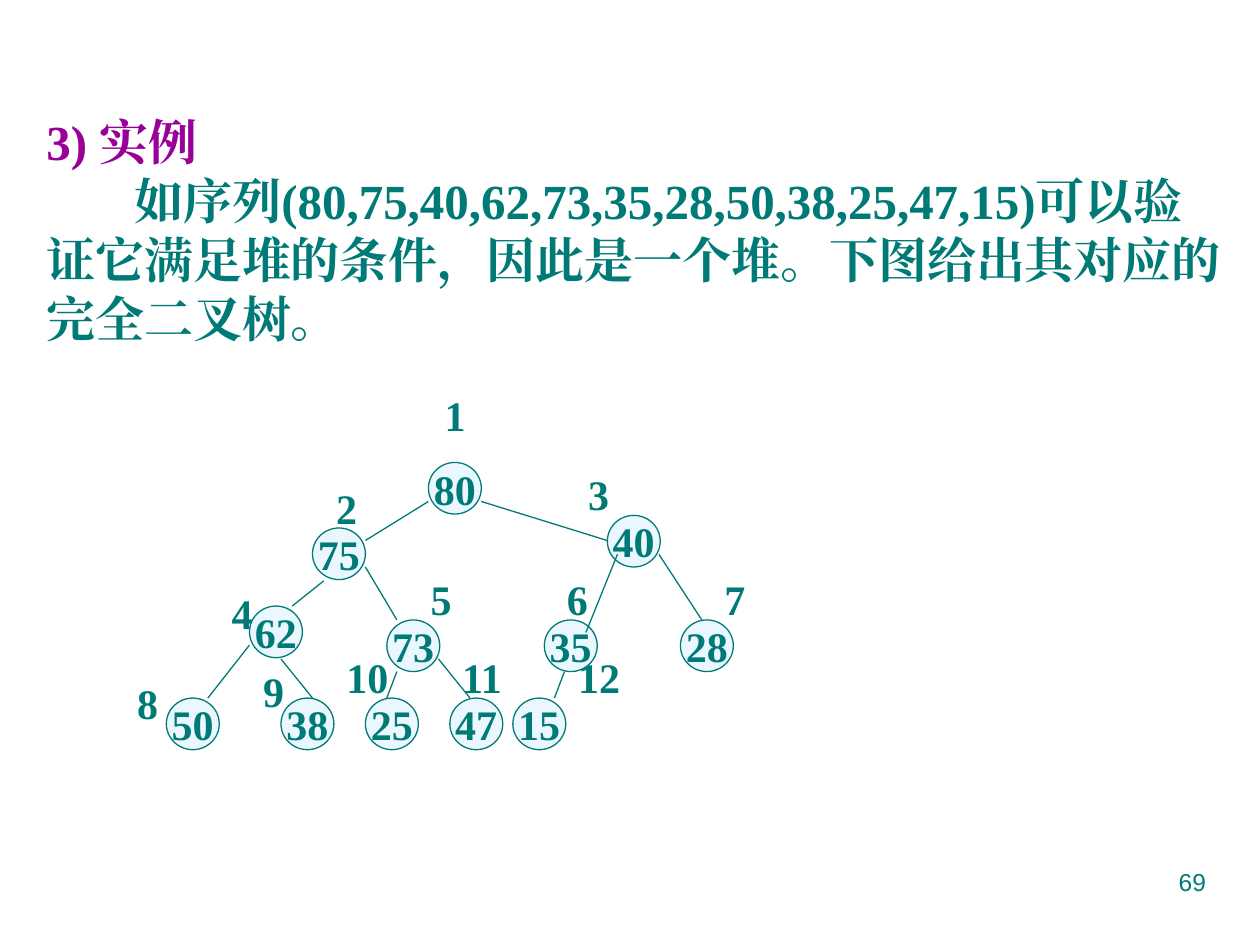
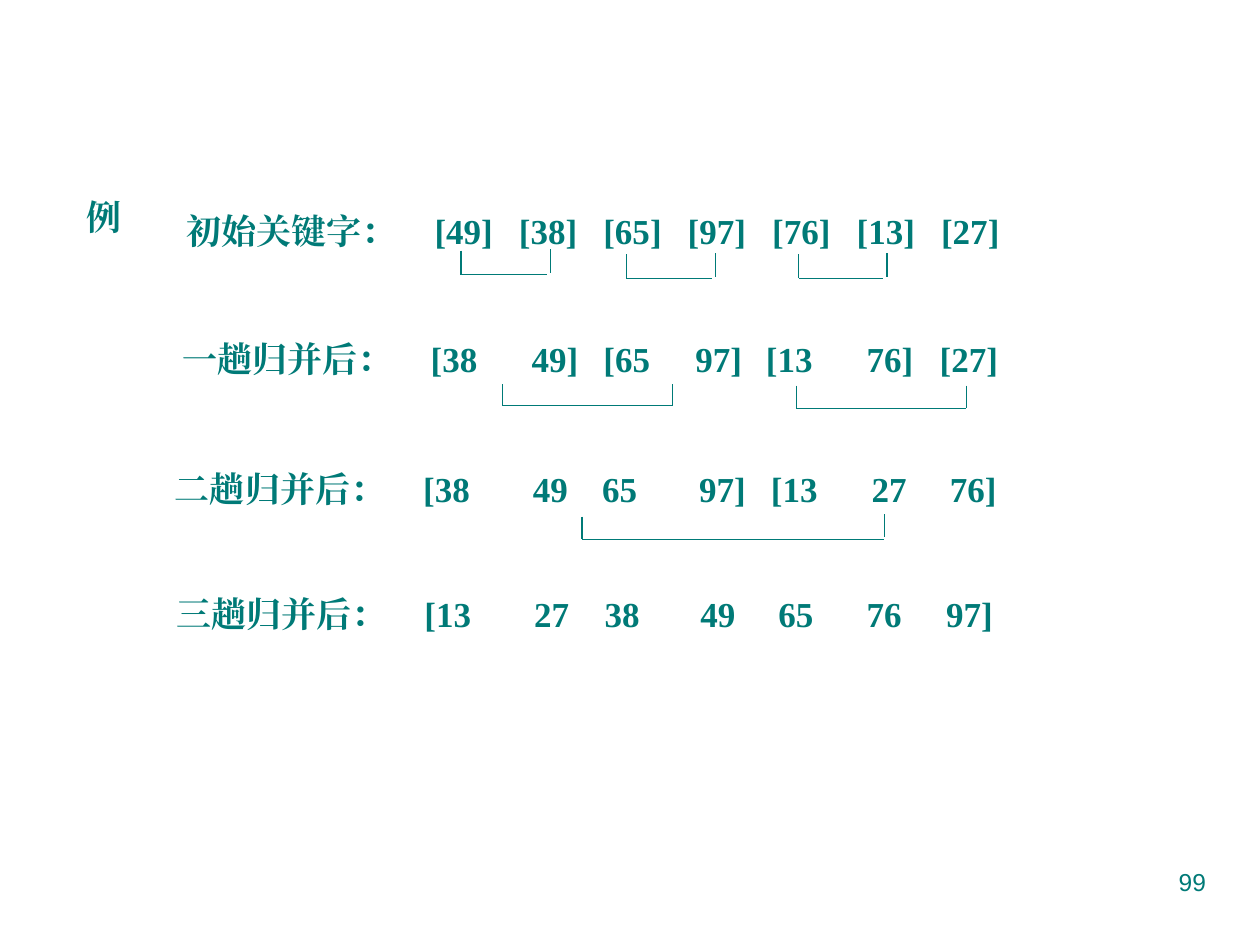
import pptx
import pptx.dml.color
import pptx.enum.shapes
import pptx.enum.text
import pptx.oxml.ns
import pptx.util
from lxml import etree

Inches = pptx.util.Inches
Pt = pptx.util.Pt
qn = pptx.oxml.ns.qn
ALIGN = pptx.enum.text.PP_ALIGN

TEAL = pptx.dml.color.RGBColor(0x00, 0x7A, 0x77)
PURPLE = pptx.dml.color.RGBColor(0x99, 0x00, 0x99)
PALE_BLUE = pptx.dml.color.RGBColor(0xEB, 0xF7, 0xFF)
SERIF = "Times New Roman"
LINE_WIDTH = Pt(0.75)
NODE_WIDTH, NODE_HEIGHT = 0.42, 0.41

HEAP_NODES = [
    ("80", 3.40, 3.67, 3.43, 3.04),
    ("75", 2.48, 4.19, 2.57, 3.78),
    ("40", 4.82, 4.09, 4.57, 3.67),
    ("62", 1.98, 4.81, 1.74, 4.61),
    ("73", 3.07, 4.92, 3.32, 4.50),
    ("35", 4.32, 4.92, 4.40, 4.50),
    ("28", 5.40, 4.92, 5.65, 4.50),
    ("50", 1.32, 5.54, 0.99, 5.33),
    ("38", 2.23, 5.54, 1.99, 5.23),
    ("25", 2.90, 5.54, 2.65, 5.12),
    ("47", 3.57, 5.54, 3.57, 5.12),
    ("15", 4.07, 5.54, 4.49, 5.12),
]
HEAP_EDGES = [
    (3.40, 3.98, 2.90, 4.29),
    (3.82, 3.98, 4.82, 4.29),
    (2.57, 4.61, 2.32, 4.81),
    (2.90, 4.50, 3.15, 4.92),
    (4.90, 4.40, 4.65, 5.02),
    (5.23, 4.40, 5.57, 4.92),
    (1.98, 5.12, 1.65, 5.54),
    (2.23, 5.23, 2.48, 5.54),
    (3.15, 5.33, 3.07, 5.54),
    (3.48, 5.23, 3.73, 5.54),
    (4.48, 5.33, 4.40, 5.54),
]
MERGE_ROWS = [
    (1.38, 1.61, "初始关键字：",
     ["[49]", "[38]", "[65]", "[97]", "[76]", "[13]", "[27]"],
     [3.45 + 0.67 * column for column in range(7)]),
    (1.35, 2.63, "一趟归并后：",
     ["[38", "49]", "[65", "97]", "[13", "76]", "[27]"],
     [3.42, 4.22, 4.79, 5.52, 6.08, 6.88, 7.46]),
    (1.29, 3.66, "二趟归并后：",
     ["[38", "49", "65", "97]", "[13", "27", "76]"],
     [3.36, 4.23, 4.78, 5.55, 6.12, 6.92, 7.54]),
    (1.30, 4.65, "三趟归并后：",
     ["[13", "27", "38", "49", "65", "76", "97]"],
     [3.37, 4.24, 4.80, 5.56, 6.18, 6.88, 7.51]),
]
MERGE_BRACKETS = [
    (3.66, 4.37, 1.99, 2.18, 0.03, 0.01),
    (4.97, 5.68, 2.02, 2.21, 0.03, 0.01),
    (6.34, 7.04, 2.02, 2.21, 0.03, 0.01),
    (3.99, 5.34, 3.05, 3.22, 0, 0),
    (6.32, 7.67, 3.06, 3.24, 0, 0),
    (4.62, 7.02, 4.10, 4.28, 0, 0.02),
]


def style_paragraph(para, size, color=TEAL, font=SERIF, bold=True):
    for span in para.runs:
        span.font.size = Pt(size)
        span.font.bold = bold
        span.font.name = font
        span.font.color.rgb = color
        east_asian = etree.SubElement(span.font._element, qn("a:ea"))
        east_asian.set("typeface", font)


def add_text(page, text, left, top, width, height, size, wrap=True, **style):
    box = page.shapes.add_textbox(Inches(left), Inches(top), Inches(width), Inches(height))
    box.text_frame.word_wrap = wrap
    box.text_frame.text = text
    for para in box.text_frame.paragraphs:
        style_paragraph(para, size, **style)
    return box.text_frame


def set_line_height(frame, size):
    for para in frame.paragraphs:
        para.line_spacing = Pt(size * 1.2)


def add_page_number(page, number):
    frame = add_text(page, number, 7.17, 6.83, 2.5, 0.52, 14, font="Arial", bold=False)
    frame.paragraphs[0].alignment = ALIGN.RIGHT


def add_line(page, x1, y1, x2, y2):
    line = page.shapes.add_connector(
        pptx.enum.shapes.MSO_CONNECTOR.STRAIGHT,
        Inches(x1), Inches(y1), Inches(x2), Inches(y2))
    line.line.color.rgb = TEAL
    line.line.width = LINE_WIDTH
    etree.SubElement(line._element.spPr, qn("a:effectLst"))


def add_node(page, key, left, top):
    node = page.shapes.add_shape(
        pptx.enum.shapes.MSO_SHAPE.OVAL,
        Inches(left), Inches(top), Inches(NODE_WIDTH), Inches(NODE_HEIGHT))
    node.shadow.inherit = False
    node.fill.solid()
    node.fill.fore_color.rgb = PALE_BLUE
    node.line.color.rgb = TEAL
    node.line.width = LINE_WIDTH
    frame = node.text_frame
    frame.word_wrap = False
    frame.vertical_anchor = pptx.enum.text.MSO_ANCHOR.MIDDLE
    frame.text = key
    para = frame.paragraphs[0]
    para.alignment = ALIGN.CENTER
    style_paragraph(para, 24)


def add_merge_row(page, left, top, label, keys, stops):
    frame = add_text(page, "\t".join([label] + keys), left, top, 6.75, 0.44, 20)
    frame.margin_right = 0
    set_line_height(frame, 20)
    properties = frame.paragraphs[0]._p.get_or_add_pPr()
    tabs = etree.SubElement(properties, qn("a:tabLst"))
    text_left = left + 0.1
    for stop in stops:
        tab = etree.SubElement(tabs, qn("a:tab"))
        tab.set("pos", str(Inches(stop - text_left)))
        tab.set("algn", "l")


def add_bracket(page, left, right, top, bottom, gap, lift):
    add_line(page, left, top, left, bottom)
    add_line(page, left, bottom, right - gap, bottom)
    add_line(page, right, top - lift, right, bottom - lift)


def build_heap_page(page):
    intro = add_text(
        page,
        "3) 实例\n如序列(80,75,40,62,73,35,28,50,38,25,47,15)可以验证它满足堆的条件，"
        "因此是一个堆。下图给出其对应的完全二叉树。",
        0.27, 0.84, 9.53, 1.97, 28)
    set_line_height(intro, 28)
    heading, body = intro.paragraphs
    heading.runs[0].font.color.rgb = PURPLE
    body._p.get_or_add_pPr().set("indent", str(Inches(0.7)))
    for key, left, top, _, _ in HEAP_NODES:
        add_node(page, key, left, top)
    for edge in HEAP_EDGES:
        add_line(page, *edge)
    for index, (_, _, _, left, top) in enumerate(HEAP_NODES, 1):
        width = 0.36 if index < 10 else 0.53
        add_text(page, str(index), left, top, width, 0.5, 24, wrap=False)
    add_page_number(page, "69")


def build_merge_page(page):
    example = add_text(page, "例", 0.59, 1.5, 0.48, 0.44, 20, wrap=False)
    set_line_height(example, 20)
    for row in MERGE_ROWS:
        add_merge_row(page, *row)
    for bracket in MERGE_BRACKETS:
        add_bracket(page, *bracket)
    add_page_number(page, "99")


def main():
    deck = pptx.Presentation()
    deck.slide_width = Inches(10)
    deck.slide_height = Inches(7.5)
    for build in (build_heap_page, build_merge_page):
        build(deck.slides.add_slide(deck.slide_layouts[6]))
    deck.save("out.pptx")


if __name__ == "__main__":
    main()
